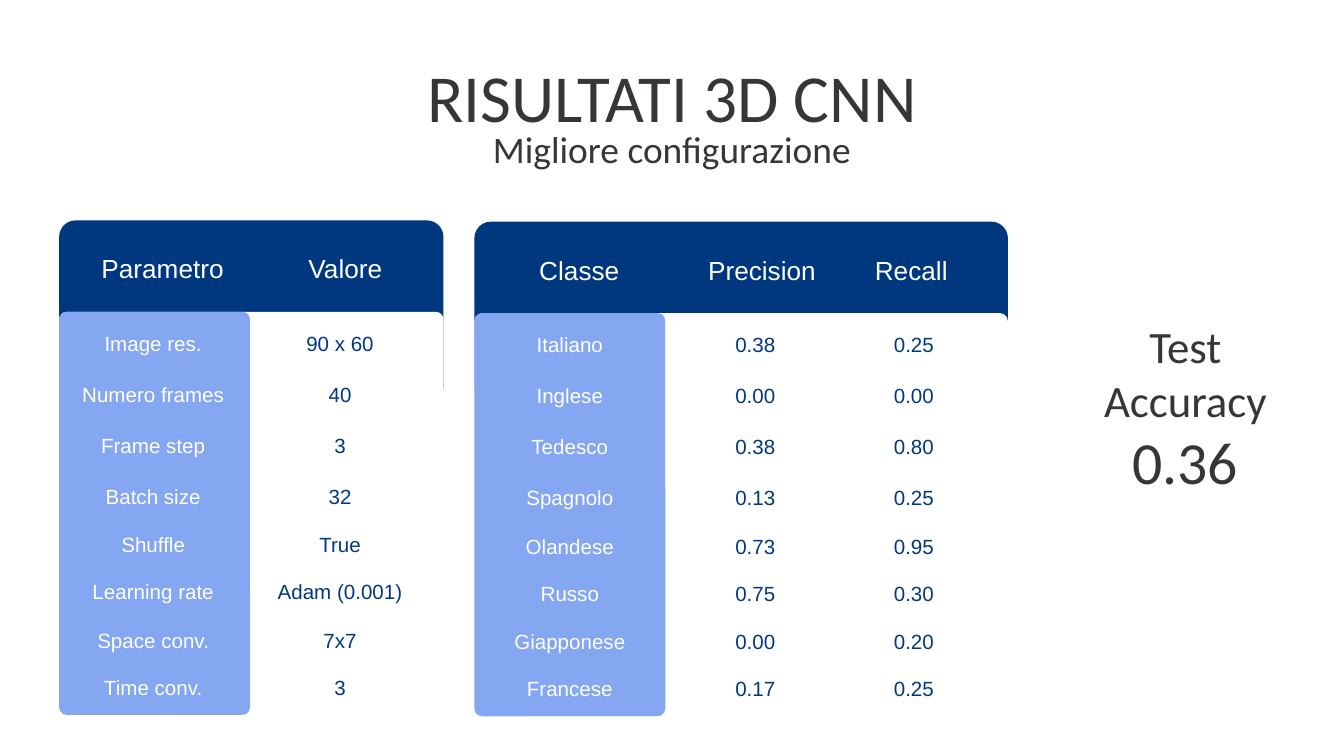
"""Builds the slide with the 3D CNN results: best configuration and class scores."""
from dataclasses import dataclass

from pptx import Presentation
from pptx.dml.color import RGBColor
from pptx.enum.shapes import MSO_SHAPE
from pptx.enum.text import MSO_ANCHOR, MSO_AUTO_SIZE, PP_ALIGN
from pptx.util import Inches, Pt

ROUNDED = MSO_SHAPE.ROUNDED_RECTANGLE
TOP = MSO_ANCHOR.TOP
NO_FIT = MSO_AUTO_SIZE.NONE
CENTER = PP_ALIGN.CENTER
TITLE_ONLY = 5


@dataclass(frozen=True)
class Theme:
    navy: RGBColor = RGBColor.from_string("003880")
    sky: RGBColor = RGBColor.from_string("85A7F2")
    white: RGBColor = RGBColor.from_string("FFFFFF")
    ink: RGBColor = RGBColor.from_string("383536")
    heading_font: str = "Calibri"
    table_font: str = "Arial"
    title: int = 36
    score: int = 32
    label: int = 24
    subtitle: int = 20
    header: int = 14
    cell: int = 11


THEME = Theme()
CELL_W, CELL_H = 1.28, 0.45
ROW_OFFSETS = (0, 0.38, 0.76, 1.14, 1.5, 1.85, 2.21, 2.56)

CONFIG_HEADERS = ((0.57, "Parametro"), (1.93, "Valore"))
CONFIG_COLUMNS = (
    (0.5, ("Image res.", "Numero frames", "Frame step", "Batch size",
           "Shuffle", "Learning rate", "Space conv.", "Time conv.")),
    (1.89, ("90 x 60", "40", "3", "32", "True", "Adam (0.001)", "7x7", "3")),
)
CLASS_HEADERS = ((3.67, "Classe"), (5.03, "Precision"), (6.14, "Recall"))
CLASS_COLUMNS = (
    (3.6, ("Italiano", "Inglese", "Tedesco", "Spagnolo",
           "Olandese", "Russo", "Giapponese", "Francese")),
    (4.98, ("0.38", "0.00", "0.38", "0.13", "0.73", "0.75", "0.00", "0.17")),
    (6.16, ("0.25", "0.00", "0.80", "0.25", "0.95", "0.30", "0.20", "0.25")),
)


def fill_text(sp, lines, size, color, font):
    """Write centred lines into a shape, anchored at its top."""
    tf = sp.text_frame
    tf.text = "\n".join(lines)
    tf.word_wrap = True
    tf.auto_size = NO_FIT
    tf.vertical_anchor = TOP
    tf.margin_left = tf.margin_right = Inches(0.1)
    tf.margin_top = tf.margin_bottom = Inches(0.1)
    for p in tf.paragraphs:
        p.alignment = CENTER
        p.space_before = Pt(0)
        p.font.size = Pt(size)
        p.font.name = font
        p.font.color.rgb = color


def add_title(s, text, x, y, w, h):
    """Place and format the slide title."""
    sp = s.shapes.title
    sp.left, sp.top, sp.width, sp.height = map(Inches, (x, y, w, h))
    fill_text(sp, [text], THEME.title, THEME.ink, THEME.heading_font)


def add_text(s, lines, x, y, w, h, size, color=THEME.ink, font=THEME.heading_font):
    """Add a text box with centred lines."""
    sp = s.shapes.add_textbox(*map(Inches, (x, y, w, h)))
    fill_text(sp, lines, size, color, font)


def add_panel(s, x, y, w, h, color, radius):
    """Add a plain rounded panel."""
    sp = s.shapes.add_shape(ROUNDED, *map(Inches, (x, y, w, h)))
    sp.adjustments[0] = radius
    sp.shadow.inherit = False
    sp.fill.solid()
    sp.fill.fore_color.rgb = color
    sp.line.fill.background()


def add_card(s, x, y, w, headers, columns):
    """Add a rounded card with a header band, a label column and value columns."""
    body_y = y + 0.68
    add_panel(s, x, y, w, 1.36, THEME.navy, 0.09)
    add_panel(s, x, body_y, w, 3, THEME.white, 0.02)
    add_panel(s, x, body_y, 1.42, 3, THEME.sky, 0.04)
    for left, text in headers:
        add_text(s, [text], left, y + 0.14, CELL_W, CELL_H,
                 THEME.header, THEME.white, THEME.table_font)
    for i, (left, values) in enumerate(columns):
        color = THEME.navy if i else THEME.white
        for offset, text in zip(ROW_OFFSETS, values):
            add_text(s, [text], left, body_y + 0.04 + offset, CELL_W, CELL_H,
                     THEME.cell, color, THEME.table_font)


def main():
    """Build and save the 16:9 slide."""
    prs = Presentation()
    prs.slide_width = Inches(10)
    prs.slide_height = prs.slide_width * 9 // 16
    s = prs.slides.add_slide(prs.slide_layouts[TITLE_ONLY])
    add_title(s, "RISULTATI 3D CNN", 2.65, 0.31, 4.7, 0.69)
    add_text(s, ["Migliore configurazione"], 2.65, 0.84, 4.7, 0.69, THEME.subtitle)
    add_card(s, 0.44, 1.64, 2.86, CONFIG_HEADERS, CONFIG_COLUMNS)
    add_card(s, 3.53, 1.65, 3.97, CLASS_HEADERS, CLASS_COLUMNS)
    add_text(s, ["Test", "Accuracy"], 7.89, 2.27, 1.86, 1.14, THEME.label)
    add_text(s, ["0.36"], 7.89, 3.06, 1.86, 1.14, THEME.score)
    prs.save("out.pptx")


if __name__ == "__main__":
    main()
